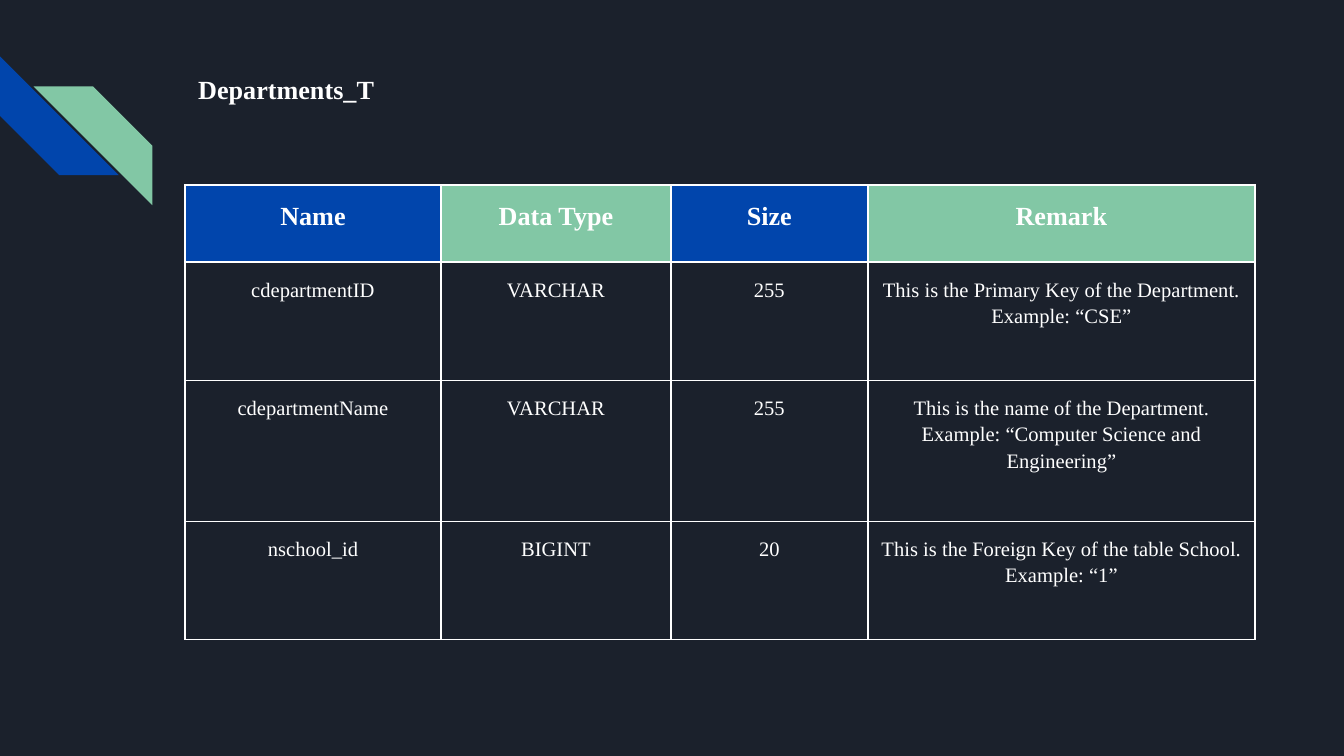
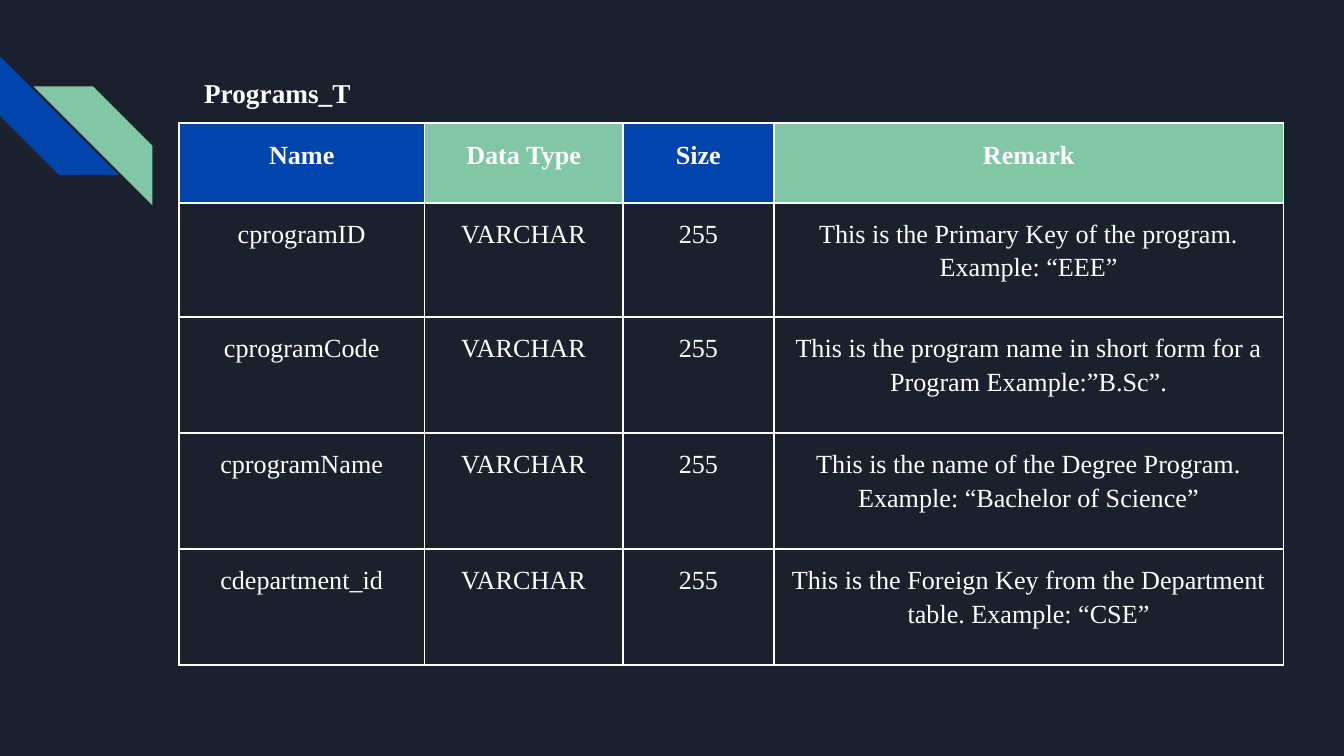
from itertools import cycle

from pptx import Presentation
from pptx.dml.color import RGBColor
from pptx.enum.shapes import MSO_SHAPE as Shape
from pptx.enum.text import PP_ALIGN as Align
from pptx.oxml.ns import qn
from pptx.util import Inches, Pt
from lxml.etree import SubElement

NAVY = RGBColor(0x1B, 0x21, 0x2C)
BLUE = RGBColor(0x01, 0x45, 0xAC)
GREEN = RGBColor(0x82, 0xC7, 0xA5)
WHITE = RGBColor(0xFF, 0xFF, 0xFF)
FONT = "Times New Roman"
HEADER = ("Name", "Data Type", "Size", "Remark")
COLS, ROWS = 100, 56.25
STRIPE = 8.84

DEPARTMENTS = (
    ("cdepartmentID", "VARCHAR", "255",
     "This is the Primary Key of the Department. Example: “CSE”"),
    ("cdepartmentName", "VARCHAR", "255",
     "This is the name of the Department. Example: “Computer Science and Engineering”"),
    ("nschool_id", "BIGINT", "20",
     "This is the Foreign Key of the table School. Example: “1”"),
)
PROGRAMS = (
    ("cprogramID", "VARCHAR", "255",
     "This is the Primary Key of the program. Example: “EEE”"),
    ("cprogramCode", "VARCHAR", "255",
     "This is the program name in short form for a Program Example:”B.Sc”."),
    ("cprogramName", "VARCHAR", "255",
     "This is the name of the Degree Program. Example: “Bachelor of Science”"),
    ("cdepartment_id", "VARCHAR", "255",
     "This is the Foreign Key from the Department table. Example: “CSE”"),
)


def grid(n):
    """Return the length of n grid squares, 100 to the slide's width."""
    return Inches(n / 10)


def style_text(p, size, bold=False):
    """Give a paragraph the deck's typeface, colour and line spacing."""
    p.line_spacing = 1.15
    p.font.name = FONT
    p.font.size = Pt(size)
    p.font.bold = bold
    p.font.color.rgb = WHITE


def add_stripe(slide, left, top, color):
    """Add one diagonal corner stripe and return it."""
    s = slide.shapes.add_shape(Shape.DIAGONAL_STRIPE, grid(left), grid(top),
                               grid(STRIPE), grid(STRIPE))
    s.shadow.inherit = False
    s.fill.solid()
    s.fill.fore_color.rgb = color
    s.line.fill.background()
    return s


def add_base(prs):
    """Add a dark slide with the two corner stripes."""
    slide = prs.slides.add_slide(prs.slide_layouts[6])
    slide.background.fill.solid()
    slide.background.fill.fore_color.rgb = NAVY
    add_stripe(slide, 0, 4.2, BLUE).rotation = 270
    green = add_stripe(slide, 2.5, 6.43, GREEN)
    green._element.spPr.find(qn("a:xfrm")).set("flipH", "1")
    return slide


def add_title(slide, text, box, size):
    """Add the table's name above it."""
    tf = slide.shapes.add_textbox(*map(grid, box)).text_frame
    tf.word_wrap = True
    tf.margin_left = tf.margin_right = tf.margin_top = tf.margin_bottom = grid(1)
    p = tf.paragraphs[0]
    p.text = text
    style_text(p, size, bold=True)


def add_borders(cell):
    """Draw a thin white line on all four sides of a cell."""
    tc_pr = cell._tc.get_or_add_tcPr()
    for side in "LRTB":
        ln = SubElement(tc_pr, qn(f"a:ln{side}"), w=str(Pt(1)))
        fill = SubElement(ln, qn("a:solidFill"))
        SubElement(fill, qn("a:srgbClr"), val=str(WHITE))


def fill_cell(cell, text, size, color=None):
    """Write a centred cell; a coloured cell is a bold heading."""
    cell.margin_left = cell.margin_right = grid(0.7)
    cell.margin_top = cell.margin_bottom = grid(1)
    add_borders(cell)
    if color is None:
        cell.fill.background()
    else:
        cell.fill.solid()
        cell.fill.fore_color.rgb = color
    p = cell.text_frame.paragraphs[0]
    p.text = text
    p.alignment = Align.CENTER
    style_text(p, size, bold=color is not None)


def add_schema(slide, left, top, widths, heights, records, size):
    """Add a table of column definitions under the shared heading row."""
    frame = slide.shapes.add_table(len(heights), len(widths), grid(left), grid(top),
                                   grid(sum(widths)), grid(sum(heights)))
    table = frame.table
    table.horz_banding = False
    table.first_row = False
    for col, width in zip(table.columns, widths):
        col.width = grid(width)
    for row, height in zip(table.rows, heights):
        row.height = grid(height)
    for c, (text, color) in enumerate(zip(HEADER, cycle((BLUE, GREEN)))):
        fill_cell(table.cell(0, c), text, 14, color)
    for r, record in enumerate(records, 1):
        for c, text in enumerate(record):
            fill_cell(table.cell(r, c), text, size)


def main():
    """Build both schema slides."""
    prs = Presentation()
    prs.slide_width, prs.slide_height = grid(COLS), grid(ROWS)

    slide = add_base(prs)
    add_title(slide, "Departments_T", (13.76, 4.15, 32.8, 4.4), 14)
    add_schema(slide, 13.75, 13.75, (19.08, 17.08, 14.67, 28.8),
               (5.75, 8.8, 10.5, 8.8), DEPARTMENTS, 11)

    slide = add_base(prs)
    add_title(slide, "Programs_T", (14.2, 4.3, 17.2, 4.9), 14.6)
    add_schema(slide, 13.32, 9.17, (18.27, 14.75, 11.26, 37.9),
               (5.92, 8.5) + (8.63,) * 3, PROGRAMS, 14)

    prs.save("out.pptx")


if __name__ == "__main__":
    main()
